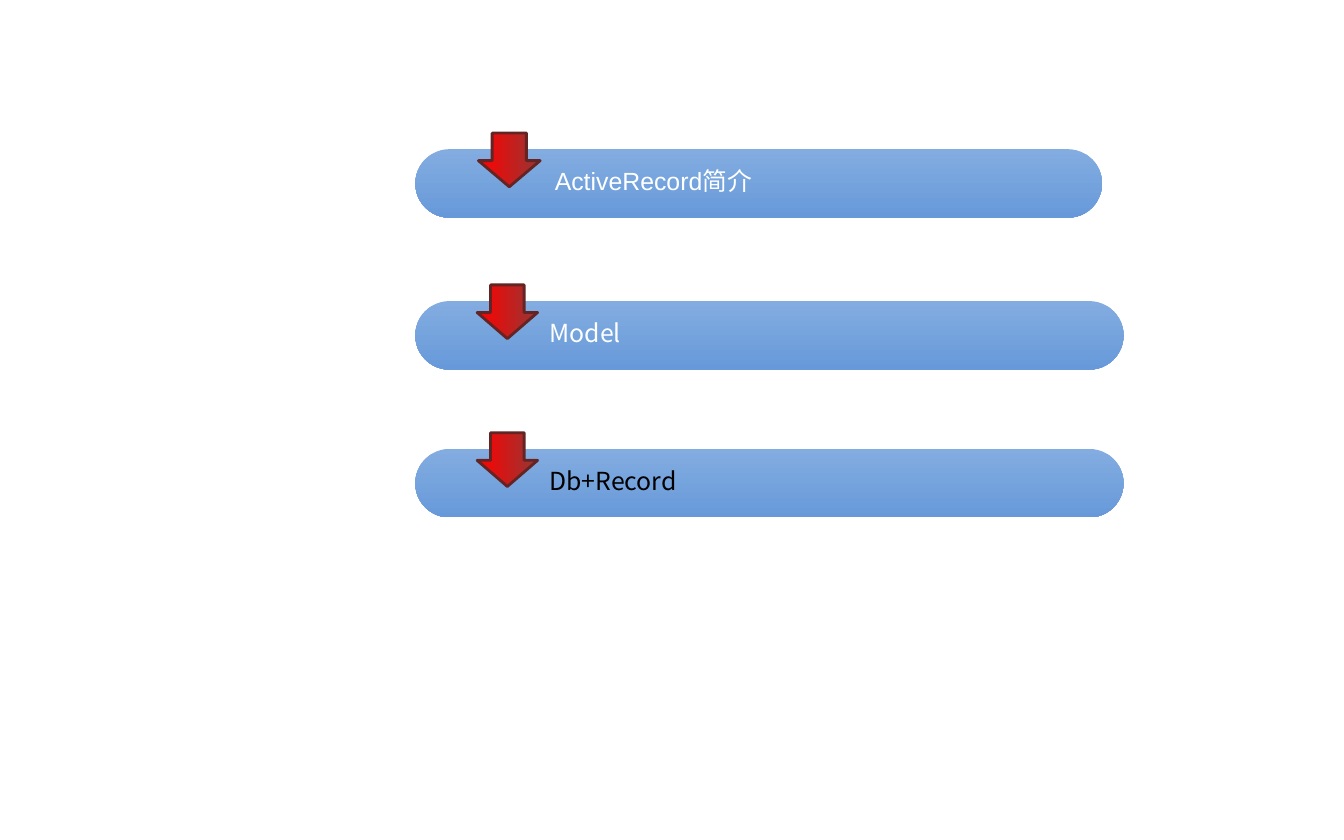
from pptx import Presentation
from pptx.dml.color import RGBColor
from pptx.enum.shapes import MSO_SHAPE
from pptx.enum.text import MSO_ANCHOR
from pptx.oxml.ns import qn
from pptx.util import Pt
from lxml.etree import SubElement

PX = 9144  # EMU per px, 100 px to the inch
COLORS = {
    "bar_top": "83ADE0",
    "bar_bottom": "6799DA",
    "arrow_left": "FF0000",
    "arrow_right": "953734",
    "arrow_line": "632423",
    "light": "FFFFFF",
    "dark": "000000",
}
CJK_FONT = "Noto Sans CJK SC"


def add_gradient_shape(shapes, kind, box, adjustments, start, end, angle):
    shape = shapes.add_shape(kind, *[value * PX for value in box])
    shape.shadow.inherit = False
    for index, value in enumerate(adjustments):
        shape.adjustments[index] = value
    shape.fill.gradient()
    shape.fill.gradient_angle = angle
    for stop, color in zip(shape.fill.gradient_stops, (start, end)):
        stop.color.rgb = RGBColor.from_string(COLORS[color])
    shape.line.fill.background()
    return shape


def add_text(shapes, text, box, font, color, size=13.3, line_spacing=0.8):
    text_box = shapes.add_textbox(*[value * PX for value in box])
    frame = text_box.text_frame
    frame.word_wrap = True
    frame.vertical_anchor = MSO_ANCHOR.MIDDLE
    paragraph = frame.paragraphs[0]
    paragraph.line_spacing = line_spacing
    run = paragraph.add_run()
    run.text = text
    run.font.size = Pt(size)
    run.font.color.rgb = RGBColor.from_string(COLORS[color])
    run.font.name = font
    # East Asian characters take their own typeface
    SubElement(run.font._element, qn("a:ea")).set("typeface", CJK_FONT)


presentation = Presentation()
presentation.slide_width = 1000 * PX
presentation.slide_height = 625 * PX
slide = presentation.slides.add_slide(presentation.slide_layouts[6])

# Agenda entries: text, font, colour, bar top, bar width, text left, text width, arrow left, arrow width
entries = [
    ("ActiveRecord简介", "Arial", "light", 111, 511, 403, 433, 356, 46),
    ("Model", CJK_FONT, "light", 224, 527, 399, 374, 355, 45),
    ("Db+Record", CJK_FONT, "dark", 334, 527, 399, 374, 355, 45),
]

for text, font, color, top, bar_width, text_left, text_width, arrow_left, arrow_width in entries:
    shapes = slide.shapes.add_group_shape().shapes

    # Rounded bar
    add_gradient_shape(shapes, MSO_SHAPE.ROUNDED_RECTANGLE, (309, top, bar_width, 51),
                       [0.5], "bar_top", "bar_bottom", angle=270)

    # Label
    add_text(shapes, text, (text_left, top + 8, text_width, 35), font=font, color=color)

    # Down arrow over the bar's top edge
    arrow = add_gradient_shape(shapes, MSO_SHAPE.DOWN_ARROW, (arrow_left, top - 12, arrow_width, 40),
                               [0.554, 0.486], "arrow_left", "arrow_right", angle=0)
    arrow.line.color.rgb = RGBColor.from_string(COLORS["arrow_line"])
    arrow.line.width = Pt(1.5)

presentation.save("out.pptx")
